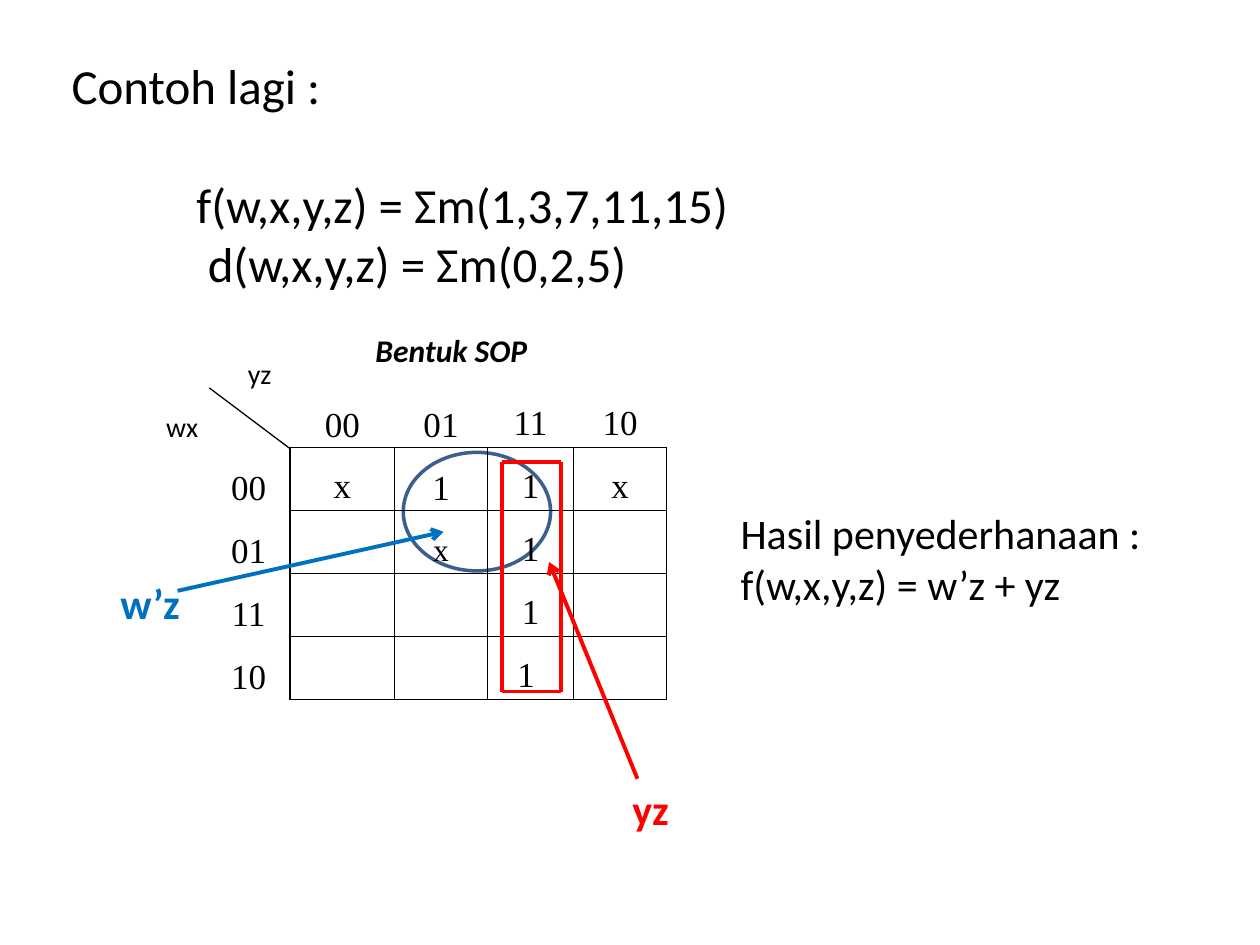
from dataclasses import dataclass
from itertools import product

from lxml import etree
from pptx import Presentation
from pptx import util as u
from pptx.dml.color import RGBColor
from pptx.enum import shapes, text
from pptx.oxml.ns import qn


@dataclass(frozen=True)
class Theme:
    ink: str = "000000"
    paper: str = "FFFFFF"
    oval: str = "3A5F8C"
    red: str = "FF0000"
    blue: str = "0070C0"
    body: str = "Calibri"
    grid: str = "Times New Roman"
    heading: int = 28
    result: int = 24
    cell: int = 20
    caption: int = 18
    axis: int = 16
    thin: float = 0.75
    border: float = 1
    outline: float = 2
    mark: float = 2.25


def write_text(frame, content, *, size, color, font, bold=False, italic=False,
               align=text.PP_ALIGN.LEFT, anchor=text.MSO_ANCHOR.TOP,
               spacing=None, after=None):
    frame.word_wrap = True
    frame.vertical_anchor = anchor
    for index, line in enumerate(content.split("\n")):
        para = frame.add_paragraph() if index else frame.paragraphs[0]
        para.alignment = align
        if spacing:
            para.line_spacing = spacing
        if after:
            para.space_after = u.Pt(after)
        span = para.add_run()
        span.text = line
        span.font.name = font
        span.font.size = u.Pt(size)
        span.font.bold = bold
        span.font.italic = italic
        span.font.color.rgb = RGBColor.from_string(color)


class SlideBuilder:
    def __init__(self, deck, theme):
        self.theme = theme
        self.page = deck.slides.add_slide(deck.slide_layouts[5])

    def title(self, content, area):
        box = self.page.shapes.title
        box.left, box.top, box.width, box.height = map(u.Cm, area)
        box.text_frame.auto_size = text.MSO_AUTO_SIZE.NONE
        write_text(box.text_frame, content, size=self.theme.heading,
                   color=self.theme.ink, font=self.theme.body)

    def label(self, content, area, size, color=None, **style):
        box = self.page.shapes.add_textbox(*map(u.Cm, area))
        write_text(box.text_frame, content, size=size,
                   color=color or self.theme.ink, font=self.theme.body, **style)
        return box

    def axis_label(self, content, area):
        box = self.label(content, area, self.theme.axis, after=10)
        box.fill.solid()
        box.fill.fore_color.rgb = RGBColor.from_string(self.theme.paper)

    def oval(self, area):
        shape = self.page.shapes.add_shape(
            shapes.MSO_SHAPE.OVAL, *map(u.Cm, area))
        shape.shadow.inherit = False
        shape.fill.solid()
        shape.fill.fore_color.rgb = RGBColor.from_string(self.theme.paper)
        shape.line.color.rgb = RGBColor.from_string(self.theme.oval)
        shape.line.width = u.Pt(self.theme.outline)

    def line(self, start, end, color, width, arrow=False):
        link = self.page.shapes.add_connector(
            shapes.MSO_CONNECTOR.STRAIGHT, *map(u.Cm, (*start, *end)))
        link.line.color.rgb = RGBColor.from_string(color)
        link.line.width = u.Pt(width)
        if arrow:
            etree.SubElement(link.line._get_or_add_ln(), qn("a:tailEnd"), type="arrow")
        etree.SubElement(link._element.spPr, qn("a:effectLst"))

    def borders(self, cell, visible):
        properties = cell._tc.get_or_add_tcPr()
        for index, side in enumerate("LRTB"):
            edge = etree.Element(qn(f"a:ln{side}"), w=str(u.Pt(self.theme.border)))
            if side in visible:
                fill = etree.SubElement(edge, qn("a:solidFill"))
                etree.SubElement(fill, qn("a:srgbClr"), val=self.theme.ink)
            else:
                etree.SubElement(edge, qn("a:noFill"))
            properties.insert(index, edge)

    def karnaugh_map(self, origin, widths, row_height, values, middle, small):
        area = (*origin, sum(widths), row_height * len(values))
        table = self.page.shapes.add_table(
            len(values), len(widths), *map(u.Cm, area)).table
        table.first_row = table.horz_banding = False
        for column, width in zip(table.columns, widths):
            column.width = u.Cm(width)
        for row in table.rows:
            row.height = u.Cm(row_height)
        for row, column in product(range(len(values)), range(len(widths))):
            cell = table.cell(row, column)
            cell.fill.background()
            cell.margin_left = cell.margin_right = u.Cm(0.18)
            cell.margin_top = cell.margin_bottom = 0
            if row and column:
                visible = "LRTB"
            elif row:
                visible = "R"
            else:
                visible = "B" if column else ""
            self.borders(cell, visible)
            content = values[row][column]
            if content:
                centred = column == 0 or (row, column) in middle
                anchor = text.MSO_ANCHOR.MIDDLE if centred else text.MSO_ANCHOR.TOP
                cell.vertical_anchor = anchor
                size = self.theme.caption if (row, column) in small else self.theme.cell
                write_text(cell.text_frame, content, size=size,
                           color=self.theme.ink, font=self.theme.grid,
                           align=text.PP_ALIGN.CENTER, anchor=anchor, spacing=1.5)


def main():
    theme = Theme()
    deck = Presentation()
    deck.slide_width, deck.slide_height = u.Cm(25.4), u.Cm(19.05)
    page = SlideBuilder(deck, theme)

    page.title("Contoh lagi :", (1.19, 0.99, 22.22, 1.5))
    page.oval((8.13, 9.12, 2.97, 2.39))
    functions = page.label("f(w,x,y,z) = Σm(1,3,7,11,15)\nd(w,x,y,z) = Σm(0,2,5)",
                           (3.71, 3.4, 19.7, 2.9), theme.heading)
    functions.text_frame.paragraphs[1]._p.get_or_add_pPr().set("marL", str(u.Cm(0.23)))

    values = [
        ["", "00", "01", "11", "10"],
        ["00", "x", "1", "1", "x"],
        ["01", "", "x", "1", ""],
        ["11", "", "", "1", ""],
        ["10", "", "", "1 ", ""],
    ]
    page.karnaugh_map((4.17, 7.75), (1.68, 2.1, 1.88, 1.73, 1.88), 1.27, values,
                      middle={(0, 1), (0, 2), (1, 2), (2, 2)}, small={(2, 2)})
    page.line((4.22, 7.82), (5.84, 9.04), theme.ink, theme.thin)
    page.axis_label("yz", (4.75, 7.06, 1.19, 1.07))
    page.axis_label("wx", (3.1, 8.13, 1.19, 1.07))

    left, top, right, bottom = 10.12, 9.32, 11.3, 13.94
    for x in (left, right):
        page.line((x, top), (x, bottom), theme.red, theme.mark)
    for y in (top, bottom):
        page.line((left, y), (right, y), theme.red, theme.mark)

    page.label("yz", (12.5, 15.67, 1.4, 1.27), theme.result, theme.red, bold=True)
    page.line((12.85, 15.7), (11.07, 11.33), theme.red, theme.mark, arrow=True)
    page.label("w’z", (2.18, 11.51, 1.78, 1.27), theme.result, theme.blue, bold=True)
    page.line((3.58, 11.91), (8.94, 10.72), theme.blue, theme.mark, arrow=True)
    page.label("Hasil penyederhanaan :\nf(w,x,y,z) = w’z + yz",
               (14.68, 10.11, 9.73, 2.31), theme.result)
    page.label("Bentuk SOP", (7.32, 6.55, 4.57, 1.02), theme.caption,
               bold=True, italic=True)
    deck.save("out.pptx")


if __name__ == "__main__":
    main()
